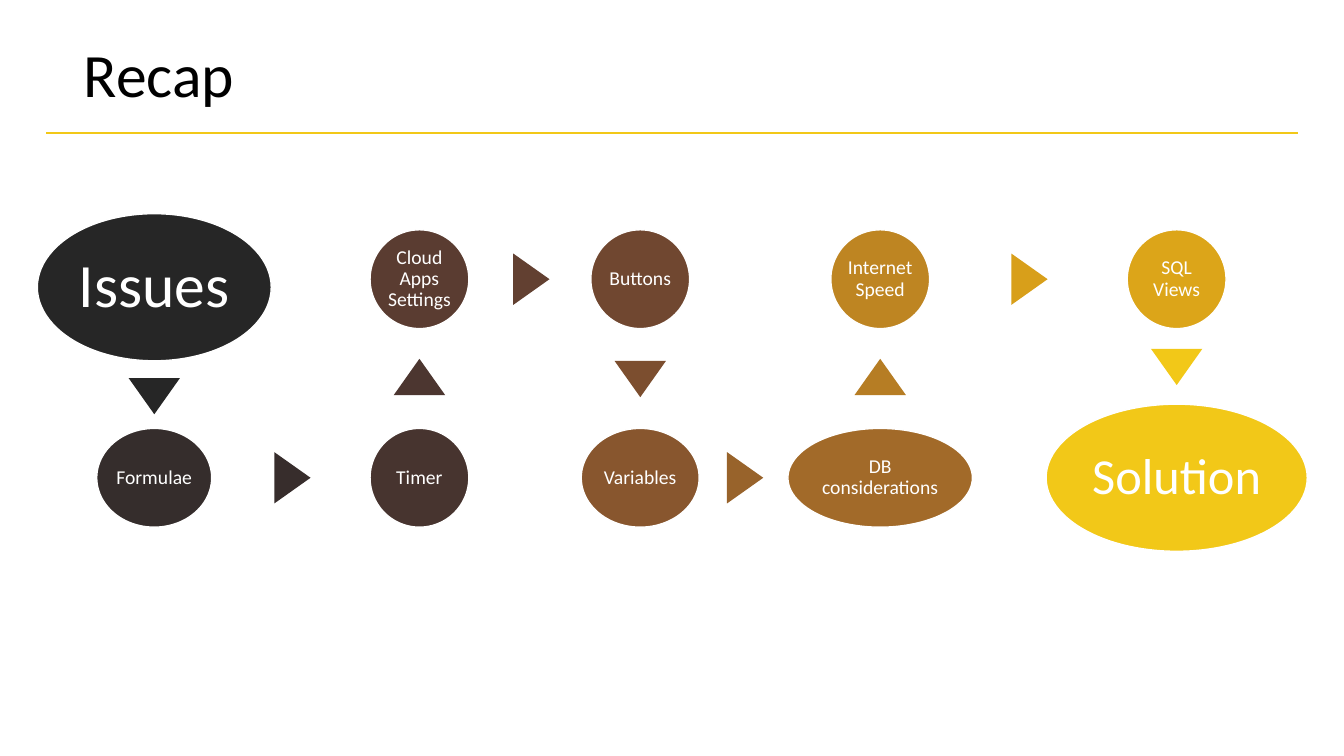
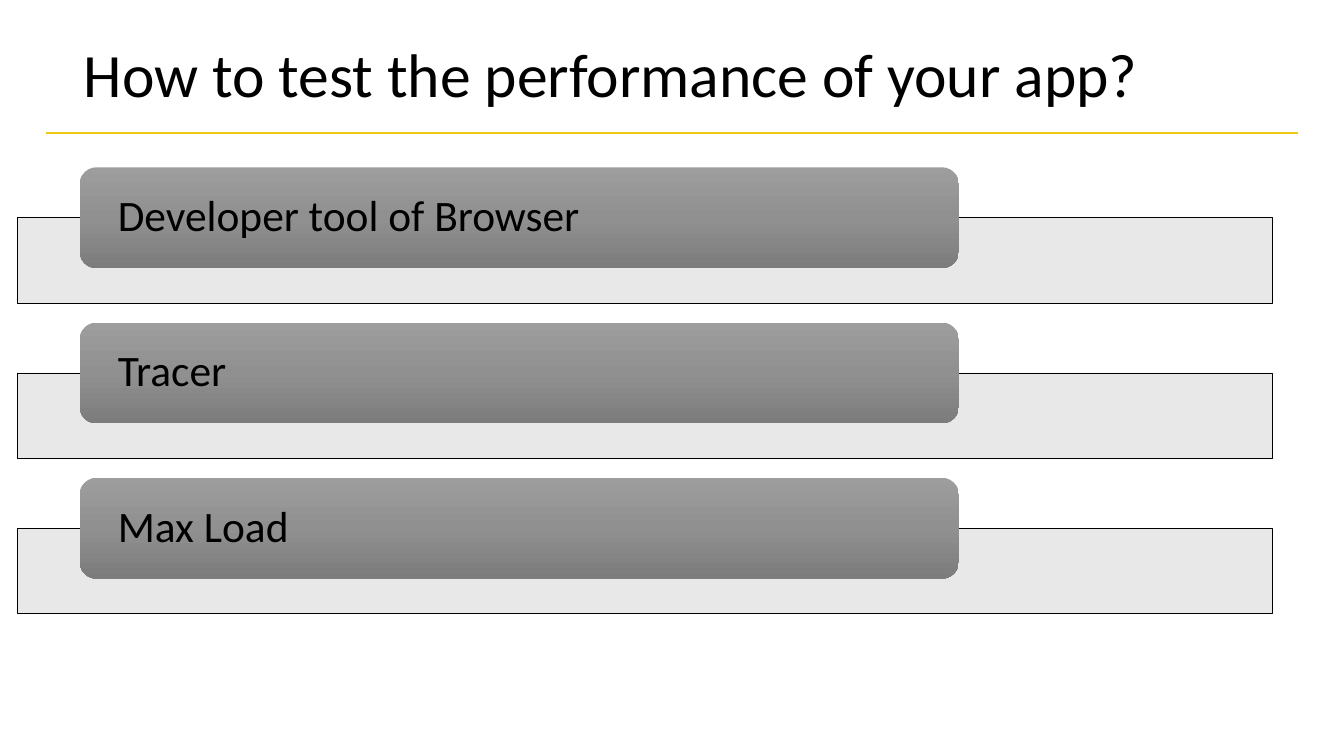
from copy import deepcopy
from dataclasses import dataclass

from lxml.etree import SubElement
from pptx import Presentation
from pptx.dml.color import RGBColor
from pptx.enum.shapes import MSO_CONNECTOR, MSO_SHAPE
from pptx.enum.text import MSO_ANCHOR, MSO_AUTO_SIZE, PP_ALIGN
from pptx.oxml.ns import qn
from pptx.presentation import Presentation as Deck
from pptx.shapes.autoshape import Shape
from pptx.slide import Slide, SlideLayout
from pptx.text.text import TextFrame
from pptx.util import Inches, Pt

FONT = "Calibri"
BLACK = RGBColor(0x00, 0x00, 0x00)
WHITE = RGBColor(0xFF, 0xFF, 0xFF)
YELLOW = RGBColor(0xF2, 0xC8, 0x18)
CHARCOAL = RGBColor(0x26, 0x26, 0x26)
BAND_GREY = RGBColor(0xE7, 0xE6, 0xE6)
BAR_STOPS = {
    0.0: RGBColor(0x9D, 0x9D, 0x9D),
    0.5: RGBColor(0x90, 0x90, 0x90),
    1.0: RGBColor(0x7C, 0x7C, 0x7C),
}

# Flow grid: centres of the columns and rows, in inches
COLUMNS = (1.53, 4.16, 6.35, 8.73, 11.67)
TOP, BOTTOM = 2.77, 4.74
CIRCLE = 0.98
ARROW_W, ARROW_H = 0.51, 0.36
UP, RIGHT, DOWN = 0, 90, 180

# Stacked bars: first offsets and the pitch from one row to the next
BAR_TOP, BAND_DROP, PITCH = 1.66, 0.5, 1.54
TOOLS = ("Developer tool of Browser", "Tracer", "Max Load")


@dataclass(frozen=True)
class Step:
    text: str
    x: float
    y: float
    color: RGBColor
    width: float = CIRCLE
    height: float = CIRCLE
    size: int = 14
    inset: float = 0.02


@dataclass(frozen=True)
class Arrow:
    x: float
    y: float
    turn: int
    color: RGBColor


C1, C2, C3, C4, C5 = COLUMNS
STEPS = (
    Step("Issues", C1, 2.85, CHARCOAL, 2.32, 1.46, 44, 0.06),
    Step("Formulae", C1, BOTTOM, RGBColor(0x35, 0x2D, 0x2C), 1.14),
    Step("Timer", C2, BOTTOM, RGBColor(0x47, 0x34, 0x2F)),
    Step("Cloud Apps Settings", C2, TOP, RGBColor(0x5A, 0x3C, 0x31)),
    Step("Buttons", C3, TOP, RGBColor(0x70, 0x47, 0x30)),
    Step("Variables", C3, BOTTOM, RGBColor(0x88, 0x56, 0x2E), 1.17),
    Step("DB considerations", C4, BOTTOM, RGBColor(0xA2, 0x6A, 0x29), 1.83),
    Step("Internet Speed", C4, TOP, RGBColor(0xBE, 0x85, 0x22)),
    Step("SQL Views", C5, TOP, RGBColor(0xDC, 0xA5, 0x19)),
    Step("Solution", C5, BOTTOM, YELLOW, 2.59, 1.46, 36, 0.05),
)
ARROWS = (
    Arrow(C1, 3.93, DOWN, CHARCOAL),
    Arrow(2.9, BOTTOM, RIGHT, RGBColor(0x37, 0x2D, 0x2C)),
    Arrow(C2, 3.74, UP, RGBColor(0x4C, 0x36, 0x30)),
    Arrow(5.27, TOP, RIGHT, RGBColor(0x62, 0x40, 0x31)),
    Arrow(C3, 3.76, DOWN, RGBColor(0x7C, 0x4E, 0x2F)),
    Arrow(7.39, BOTTOM, RIGHT, RGBColor(0x98, 0x63, 0x2B)),
    Arrow(C4, 3.74, UP, RGBColor(0xB6, 0x7D, 0x24)),
    Arrow(10.21, TOP, RIGHT, RGBColor(0xD8, 0x9F, 0x1A)),
    Arrow(C5, 3.64, DOWN, YELLOW),
)


def set_text(tf: TextFrame, text: str, size: int, color: RGBColor,
             align: PP_ALIGN, inset_x: float, inset_y: float) -> None:
    frame = {
        "word_wrap": True,
        "auto_size": MSO_AUTO_SIZE.NONE,
        "vertical_anchor": MSO_ANCHOR.MIDDLE,
        "margin_left": Inches(inset_x),
        "margin_right": Inches(inset_x),
        "margin_top": Inches(inset_y),
        "margin_bottom": Inches(inset_y),
    }
    for name, value in frame.items():
        setattr(tf, name, value)
    p = tf.paragraphs[0]
    p.alignment = align
    p.line_spacing = 0.9
    r = p.add_run()
    r.text = text
    for name, value in {"name": FONT, "size": Pt(size)}.items():
        setattr(r.font, name, value)
    r.font.color.rgb = color


def add_box(s: Slide, kind: MSO_SHAPE, x: float, y: float,
            width: float, height: float) -> Shape:
    """Add a shape without shadow or outline, placed by its top left corner."""
    sp = s.shapes.add_shape(kind, Inches(x), Inches(y), Inches(width), Inches(height))
    sp.shadow.inherit = False
    sp.line.fill.background()
    return sp


def add_centred(s: Slide, kind: MSO_SHAPE, x: float, y: float, width: float,
                height: float, color: RGBColor) -> Shape:
    sp = add_box(s, kind, x - width / 2, y - height / 2, width, height)
    sp.fill.solid()
    sp.fill.fore_color.rgb = color
    return sp


def set_outline(sp: Shape, color: RGBColor, width: float) -> None:
    sp.line.color.rgb = color
    sp.line.width = Pt(width)


def add_step(s: Slide, step: Step) -> None:
    sp = add_centred(s, MSO_SHAPE.OVAL, step.x, step.y, step.width, step.height, step.color)
    set_outline(sp, WHITE, 1)
    set_text(sp.text_frame, step.text, step.size, WHITE, PP_ALIGN.CENTER,
             step.inset, step.inset)


def add_arrow(s: Slide, arrow: Arrow) -> None:
    sp = add_centred(s, MSO_SHAPE.ISOSCELES_TRIANGLE, arrow.x, arrow.y,
                     ARROW_W, ARROW_H, arrow.color)
    sp.rotation = arrow.turn


def add_band(s: Slide, y: float) -> None:
    sp = add_box(s, MSO_SHAPE.RECTANGLE, 0.17, y, 12.45, 0.85)
    sp.fill.solid()
    sp.fill.fore_color.rgb = BAND_GREY
    color = sp.element.spPr.find(qn("a:solidFill")).find(qn("a:srgbClr"))
    SubElement(color, qn("a:alpha"), val="90000")
    set_outline(sp, BLACK, 0.5)


def add_bar(s: Slide, y: float, text: str) -> None:
    sp = add_box(s, MSO_SHAPE.ROUNDED_RECTANGLE, 0.79, y, 8.72, 1)
    sp.fill.gradient()
    sp.fill.gradient_angle = 270
    stops = sp.element.spPr.find(qn("a:gradFill")).find(qn("a:gsLst"))
    stops.insert(1, deepcopy(stops[0]))
    for stop, (position, color) in zip(sp.fill.gradient_stops, BAR_STOPS.items()):
        stop.position = position
        stop.color.rgb = color
    set_text(sp.text_frame, text, 31, BLACK, PP_ALIGN.LEFT, 0.33, 0)


def style_layout(layout: SlideLayout, s: Slide) -> None:
    """Place the shared title and move a rule drawn on s into the layout."""
    title = layout.placeholders[0]
    box = {"left": 0.73, "top": 0.22, "width": 11.89, "height": 1.1}
    for name, value in box.items():
        setattr(title, name, Inches(value))
    rule = s.shapes.add_connector(MSO_CONNECTOR.STRAIGHT, Inches(0.46), Inches(1.32),
                                  Inches(12.87), Inches(1.32))
    rule.line.color.rgb = YELLOW
    rule.line.width = Pt(2)
    SubElement(rule.element.spPr, qn("a:effectLst"))
    layout.shapes.element.append(rule.element)


def add_slide(prs: Deck, layout: SlideLayout, title: str) -> Slide:
    s = prs.slides.add_slide(layout)
    set_text(s.shapes.title.text_frame, title, 44, BLACK, PP_ALIGN.LEFT, 0.1, 0.05)
    return s


def main() -> None:
    prs = Presentation()
    prs.slide_width, prs.slide_height = Inches(13.33), Inches(7.5)
    layout = prs.slide_layouts.get_by_name("Title Only")

    recap = add_slide(prs, layout, "Recap")
    style_layout(layout, recap)
    for step in STEPS:
        add_step(recap, step)
    for arrow in ARROWS:
        add_arrow(recap, arrow)

    testing = add_slide(prs, layout, "How to test the performance of your app?")
    for row, tool in enumerate(TOOLS):
        y = BAR_TOP + row * PITCH
        add_band(testing, y + BAND_DROP)
        add_bar(testing, y, tool)

    prs.save("out.pptx")


if __name__ == "__main__":
    main()
